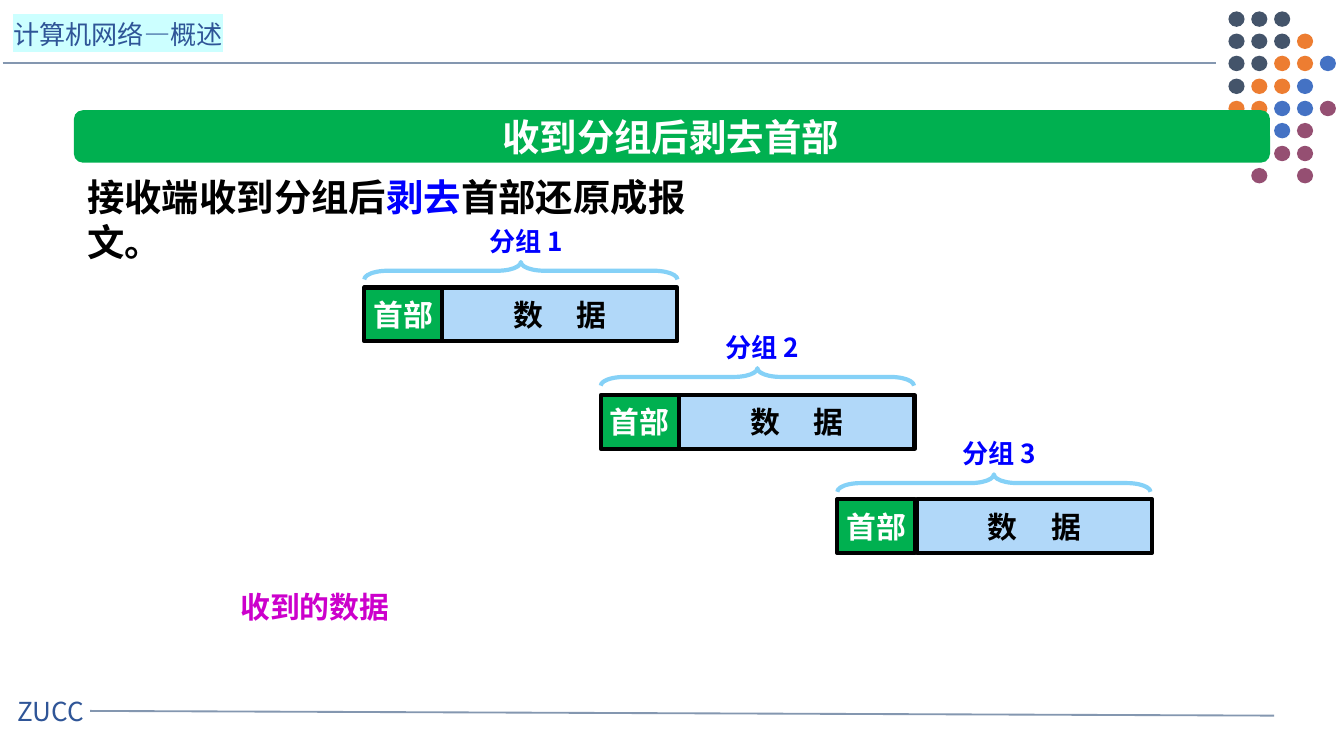
import pptx
import pptx.dml.color
import pptx.enum.shapes
import pptx.enum.text
import pptx.oxml.ns
import pptx.util

PX = 4572
FONT = "Noto Sans CJK SC"
SHAPES = pptx.enum.shapes.MSO_SHAPE
CENTER = pptx.enum.text.PP_ALIGN.CENTER
MIDDLE = pptx.enum.text.MSO_ANCHOR.MIDDLE
NAVY, GREEN, BLUE, BLACK, WHITE = "2F5597", "00B050", "0000FF", "000000", "FFFFFF"
DOT_COLORS = {"N": "44546A", "O": "ED7D31", "B": "4472C4", "P": "954F72"}
DOT_ROWS = ["NNN", "NNNO", "NNOOB", "NOOB", "OOBBP", "..BP", "..PP", ".P.P"]
PACKET_TOPS = (428, 588, 743)


def px(*lengths):
    """Turn px lengths into EMU."""
    return [pptx.util.Emu(length * PX) for length in lengths]


def color(value):
    """Turn a hex string into a colour."""
    return pptx.dml.color.RGBColor.from_string(value)


def make_element(parent, tag, **attributes):
    """Make a DrawingML element for a parent."""
    return parent.makeelement(pptx.oxml.ns.qn(tag), attributes)


def add_line(slide, start, end):
    """Draw a thin rule between two points."""
    line = slide.shapes.add_connector(
        pptx.enum.shapes.MSO_CONNECTOR.STRAIGHT, *px(*start, *end))
    line.line.color.rgb = color("8497B0")
    line.line.width = pptx.util.Pt(1)
    properties = line._element.spPr
    properties.append(make_element(properties, "a:effectLst"))


def add_shape(slide, kind, box, fill=None, line=None):
    """Add a preset shape with optional fill and outline."""
    shape = slide.shapes.add_shape(kind, *px(*box))
    shape.shadow.inherit = False
    if fill:
        shape.fill.solid()
        shape.fill.fore_color.rgb = color(fill)
    else:
        shape.fill.background()
    if line:
        shape.line.color.rgb = color(line)
        shape.line.width = pptx.util.Pt(2.25)
    else:
        shape.line.fill.background()
    return shape


def add_run(paragraph, text, size, text_color, bold=True, font=FONT):
    """Append a formatted run for Latin and East Asian text."""
    run = paragraph.add_run()
    run.text = text
    run.font.size = pptx.util.Pt(size)
    run.font.bold = bold
    run.font.color.rgb = color(text_color)
    run.font.name = font
    properties = run._r.get_or_add_rPr()
    properties.append(make_element(properties, "a:ea", typeface=FONT))
    return run


def add_text(slide, box, pieces, size, wrap=True, **style):
    """Add a text box made of (text, colour) pieces."""
    frame = slide.shapes.add_textbox(*px(*box)).text_frame
    frame.word_wrap = wrap
    for text, text_color in pieces:
        add_run(frame.paragraphs[0], text, size, text_color, **style)
    return frame


def add_highlight(run, value):
    """Put a highlight colour behind a run."""
    properties = run._r.get_or_add_rPr()
    highlight = make_element(properties, "a:highlight")
    highlight.append(make_element(highlight, "a:srgbClr", val=value))
    properties.find(pptx.oxml.ns.qn("a:solidFill")).addnext(highlight)


def add_cell(slide, box, fill, pieces, text_color):
    """Add an outlined packet part with a centred label."""
    frame = add_shape(slide, SHAPES.RECTANGLE, box, fill, BLACK).text_frame
    frame.word_wrap = False
    frame.vertical_anchor = MIDDLE
    paragraph = frame.paragraphs[0]
    paragraph.alignment = CENTER
    return [add_run(paragraph, text, 16, text_color) for text in pieces]


def add_packet(slide, index, top):
    """Add one packet with its header, data, brace and name."""
    data_box = (658 + 353 * index, top, 350, 80)
    data = add_cell(slide, data_box, "B1D8F9", ("数", " ", "据"), BLACK)
    data[1]._r.get_or_add_rPr().set("spc", "1440")
    left = 542 + 352 * index
    add_cell(slide, (left, top, 116, 80), GREEN, ("首部",), WHITE)
    drop = 158 * index
    brace_box = (left + 220, 170 + drop, 26, 466)
    brace = add_shape(slide, SHAPES.LEFT_BRACE, brace_box, line="85D1F7")
    brace.rotation = 90
    brace.adjustments[0] = 1.344
    name_box = (left + 166, 324 + drop, 156, 68)
    name = add_text(slide, name_box, [(f"分组 {index + 1}", BLUE)], 14, wrap=False)
    name.vertical_anchor = MIDDLE
    name.margin_right = 0


def add_dots(slide):
    """Add the corner pattern of coloured dots."""
    for row, codes in enumerate(DOT_ROWS):
        for column, code in enumerate(codes):
            if code in DOT_COLORS:
                box = (1828 + 34 * column, 17 + row * 100 // 3, 24, 23)
                add_shape(slide, SHAPES.OVAL, box, DOT_COLORS[code])


def main():
    """Build and save the slide."""
    presentation = pptx.Presentation()
    presentation.slide_width, presentation.slide_height = px(2000, 1125)
    slide = presentation.slides.add_slide(presentation.slide_layouts[6])

    add_line(slide, (4, 94), (1810, 94))
    add_line(slide, (134, 1058), (1896, 1065))
    add_text(slide, (6, 1025, 178, 68), [("ZUCC", NAVY)], 14, bold=False)
    course = add_text(slide, (0, 17, 432, 68), [("计算机网络—概述", NAVY)], 14, bold=False)
    add_highlight(course.paragraphs[0].runs[0], "CCFFFF")
    add_dots(slide)

    banner = add_shape(slide, SHAPES.ROUNDED_RECTANGLE, (110, 164, 1780, 78), GREEN)
    banner.adjustments[0] = 0.17
    add_text(slide, (728, 160, 546, 88), [("收到分组后剥去首部", WHITE)], 20,
             wrap=False, font="Calibri")
    pieces = [("接收端收到分组后", BLACK), ("剥去", BLUE), ("首部还原成报文。", BLACK)]
    sentence = add_text(slide, (110, 250, 1032, 88), pieces, 20)
    sentence.margin_right = px(92)[0]

    for index, top in enumerate(PACKET_TOPS):
        add_packet(slide, index, top)
    add_text(slide, (338, 866, 344, 74), [("收到的数据", "CC00CC")], 16)

    presentation.save("out.pptx")


if __name__ == "__main__":
    main()
